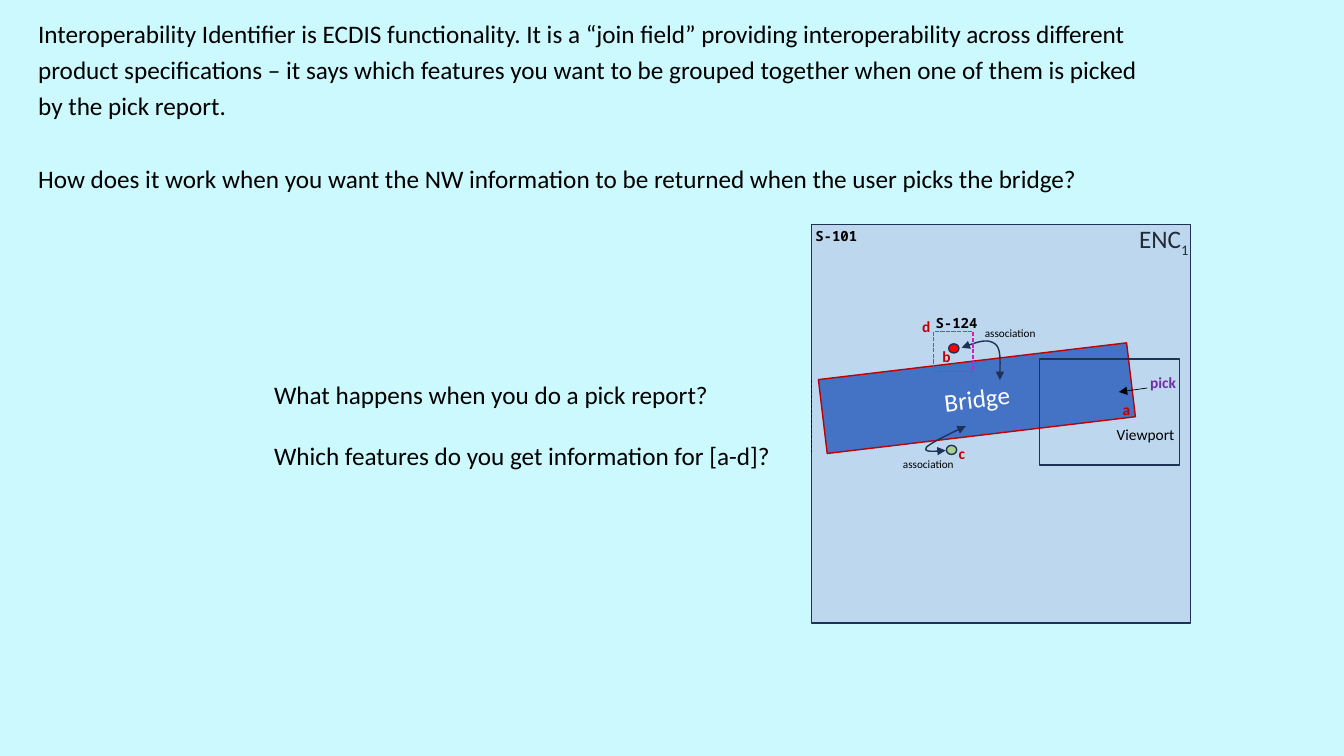
from dataclasses import dataclass

from pptx import Presentation
from pptx.dml.color import RGBColor
from pptx.enum.dml import MSO_LINE
from pptx.enum.shapes import MSO_CONNECTOR, MSO_SHAPE
from pptx.enum.text import MSO_ANCHOR, PP_ALIGN
from pptx.oxml.ns import qn
from pptx.util import Inches, Pt
from lxml import etree

RECTANGLE, OVAL = MSO_SHAPE.RECTANGLE, MSO_SHAPE.OVAL
STRAIGHT = MSO_CONNECTOR.STRAIGHT
DASH, SHORT_DASH = MSO_LINE.DASH, MSO_LINE.SQUARE_DOT
LEFT, CENTER, MIDDLE = PP_ALIGN.LEFT, PP_ALIGN.CENTER, MSO_ANCHOR.MIDDLE
NAVY, RED, BLACK = "1E3256", "C00000", "000000"
SANS, MONO = "Calibri", "Noto Sans Mono"

INTRO = [
    "Interoperability Identifier is ECDIS functionality. It is a “join field” providing "
    "interoperability across different product specifications – it says which features you "
    "want to be grouped together when one of them is picked by the pick report.",
    "How does it work when you want the NW information to be returned when the user picks "
    "the bridge?",
]
QUESTIONS = [
    "What happens when you do a pick report?",
    "Which features do you get information for [a-d]?",
]


@dataclass
class Box:
    """An area divided into 100 columns and 100 rows."""
    left: float
    top: float
    width: float
    height: float

    def point(self, column, row):
        return (round(self.left + self.width * column / 100),
                round(self.top + self.height * row / 100))

    def inner(self, column, row, columns, rows):
        return Box(*self.point(column, row),
                   round(self.width * columns / 100), round(self.height * rows / 100))

    def bounds(self):
        return self.left, self.top, self.width, self.height


def color(value):
    return RGBColor.from_string(value)


def write(frame, lines, size=18, fill=BLACK, font=SANS, bold=False, wrap=False,
          align=LEFT, spacing=None, gap=0):
    """Write one paragraph per line and return the last one."""
    frame.word_wrap = wrap
    for index, line in enumerate(lines):
        para = frame.add_paragraph() if index else frame.paragraphs[0]
        para.alignment = align
        if spacing:
            para.line_spacing = spacing
        if index:
            para.space_before = Pt(gap)
        para.font.size, para.font.bold, para.font.name = Pt(size), bold, font
        para.font.color.rgb = color(fill)
        para.add_run().text = line
    return para


def add_text(page, box, lines, **style):
    return write(page.shapes.add_textbox(*box.bounds()).text_frame, lines, **style)


def style_line(line, stroke, width=1, dash=None, head=False, tail=False):
    line.color.rgb = color(stroke)
    line.width = Pt(width)
    if dash:
        line.dash_style = dash
    for name, wanted in (("a:headEnd", head), ("a:tailEnd", tail)):
        if wanted:
            etree.SubElement(line._ln, qn(name), type="triangle")


def add_outline(page, kind, box, fill=None, stroke=NAVY, dash=None):
    shape = page.shapes.add_shape(kind, *box.bounds())
    shape.shadow.inherit = False
    if fill:
        shape.fill.solid()
        shape.fill.fore_color.rgb = color(fill)
    else:
        shape.fill.background()
    style_line(shape.line, stroke, dash=dash)
    return shape


def add_line(page, start, end, stroke, **style):
    line = page.shapes.add_connector(STRAIGHT, *start, *end)
    style_line(line.line, stroke, 0.5, **style)
    etree.SubElement(line._element.spPr, qn("a:effectLst"))


def add_curved_arrow(page, points):
    """Draw a two-headed Bézier curve: a start, then two controls and an end per piece."""
    builder = page.shapes.build_freeform(*points[0])
    builder.add_line_segments(points[1:], close=False)
    curve = builder.convert_to_shape()
    curve.shadow.inherit = False
    curve.fill.background()
    style_line(curve.line, NAVY, head=True, tail=True)
    route = curve._element.find(".//" + qn("a:path"))
    steps = route.findall(qn("a:lnTo"))
    for first in range(0, len(steps), 3):
        bend = etree.SubElement(route, qn("a:cubicBezTo"))
        for step in steps[first:first + 3]:
            bend.append(step[0])
            route.remove(step)


def add_bridge(page, box):
    bridge = add_outline(page, RECTANGLE, box, "4472C4", RED)
    bridge.rotation = 353.2
    bridge.text_frame.vertical_anchor = MIDDLE
    write(bridge.text_frame, ["Bridge"], fill="FFFFFF", align=CENTER, wrap=True)


def add_chart_map(page, box):
    """Draw the ENC cell with its bridge, warning, viewport and associations."""
    add_outline(page, RECTANGLE, box, "BDD7EE")
    add_bridge(page, box.inner(2.7, 34.2, 81.9, 18.7))
    add_outline(page, RECTANGLE, box.inner(60.1, 33.7, 37, 26.6))
    add_line(page, box.point(0, 39), box.point(0, 57.2), "0D0D0D", dash=DASH)
    add_outline(page, OVAL, box.inner(36.2, 29.9, 2.7, 2.3), "FF0000")
    add_outline(page, OVAL, box.inner(35.6, 55.4, 2.7, 2.3), "A9D18E")
    add_line(page, box.point(88.6, 41), box.point(81.1, 42), BLACK, tail=True)

    curves = [
        [(39.6, 30.9), (43.1, 29.6), (46.5, 28.6), (48.4, 29.9),
         (50, 31.1), (49.7, 35.2), (49.7, 39)],
        [(40.7, 50.6), (35.9, 52.7), (31.4, 54.9), (30.3, 55.9),
         (29.5, 57), (32.4, 57), (35.4, 56.7)],
    ]
    for curve in curves:
        add_curved_arrow(page, [box.point(*spot) for spot in curve])
    add_outline(page, RECTANGLE, box.inner(32.2, 26.8, 10.4, 10.1), stroke="C925BD",
                dash=SHORT_DASH)

    name = add_text(page, box.inner(83.8, -1.5, 18.9, 10.1), ["ENC"], fill="222A35")
    cell_number = name.add_run()
    cell_number.text = "1"
    cell_number.font._element.set("baseline", "-25000")

    small = {"size": 8}
    code = {"size": 10, "font": MONO, "bold": True}
    letter = {"size": 11, "fill": RED, "bold": True}
    labels = [
        ("Viewport", 77.9, 49.1, 20.7, 7.3, {"size": 11}),
        ("association", 43.1, 24.3, 18.9, 6.1, small),
        ("association", 21.5, 57.2, 18.9, 6.1, small),
        ("S-101", -1.6, -0.5, 16.5, 6.8, code),
        ("S-124", 30.1, 21.3, 16.5, 6.8, code),
        ("pick", 86.7, 35.9, 12.2, 7.3, {**letter, "fill": "7030A0"}),
        ("a", 79.5, 42.8, 7.4, 7.3, letter),
        ("b", 31.9, 29.6, 7.4, 7.3, letter),
        ("c", 36.2, 53.9, 7.2, 7.3, letter),
        ("d", 26.6, 22, 7.4, 7.3, letter),
    ]
    for text, column, row, columns, rows, style in labels:
        add_text(page, box.inner(column, row, columns, rows), [text], **style)


def main():
    deck = Presentation()
    deck.slide_width, deck.slide_height = Inches(13.33), Inches(7.5)
    page = deck.slides.add_slide(deck.slide_layouts[6])
    page.background.fill.solid()
    page.background.fill.fore_color.rgb = color("CBF9FD")
    area = Box(0, 0, deck.slide_width, deck.slide_height)
    add_chart_map(page, area.inner(60.38, 29.73, 28.2, 52.67))
    add_text(page, area.inner(19.65, 49.47, 38.8, 13.5), QUESTIONS, gap=22)
    add_text(page, area.inner(2.1, 0.93, 85.4, 25.2), INTRO, wrap=True, spacing=1.2, gap=26)
    deck.save("out.pptx")


if __name__ == "__main__":
    main()
